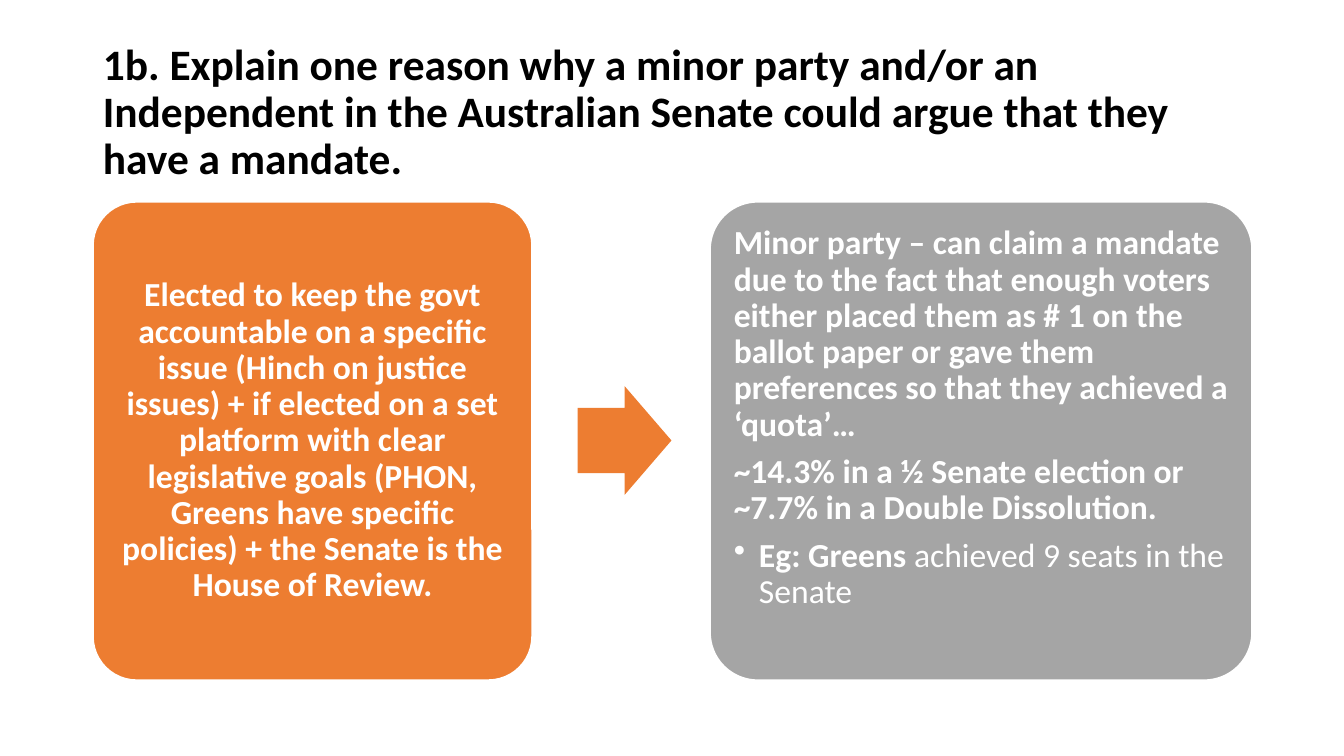
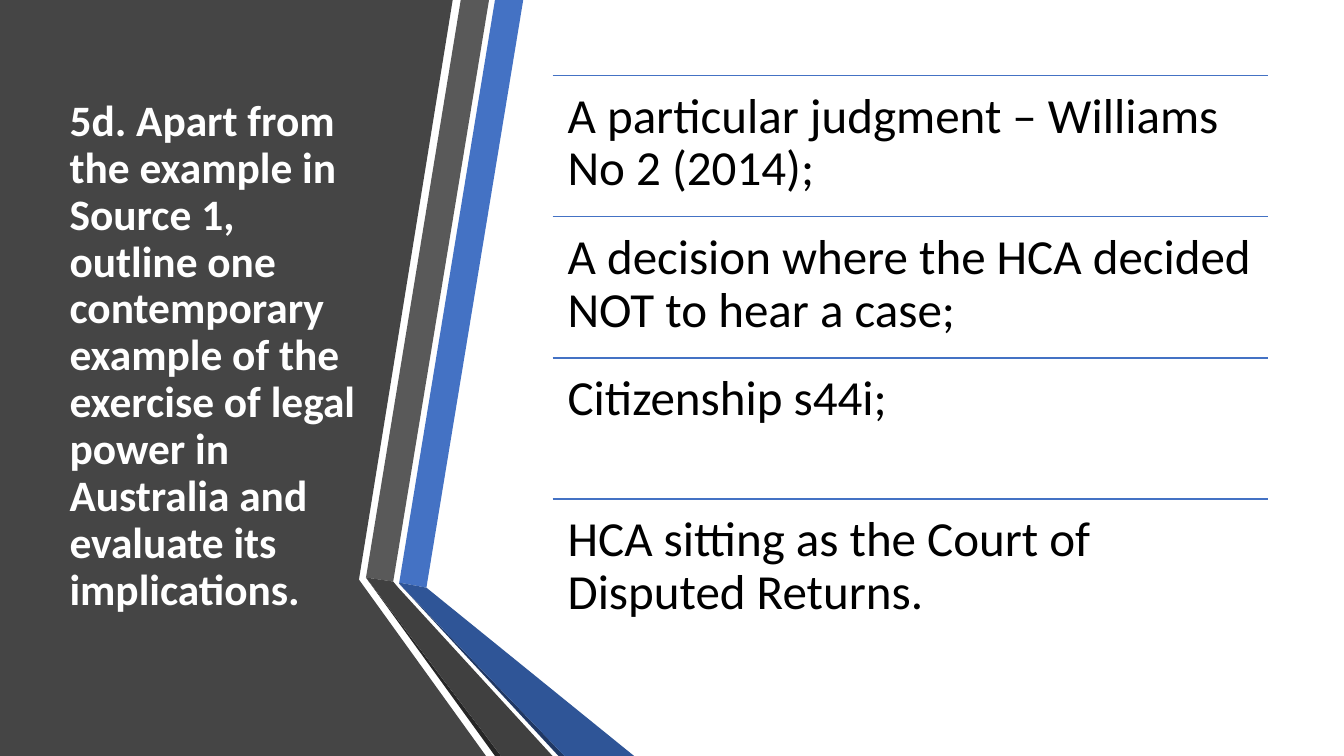
"""Build two civics answer slides: a minor party mandate and legal power in Australia."""
from lxml import etree
from pptx import Presentation
from pptx.dml.color import RGBColor
from pptx.enum import shapes, text
from pptx.oxml import ns
from pptx.util import Inches, Pt

BLACK, WHITE = "000000", "FFFFFF"
ORANGE, GREY, BLUE = "ED7D31", "A5A5A5", "4472C4"
LEFT, CENTER = text.PP_ALIGN.LEFT, text.PP_ALIGN.CENTER
TOP, MIDDLE = text.MSO_ANCHOR.TOP, text.MSO_ANCHOR.MIDDLE


def paint(fill, color):
    fill.solid()
    fill.fore_color.rgb = RGBColor.from_string(color)


def write(frame, paragraphs, size, color, anchor=TOP, align=LEFT, inset=0.1, after=0):
    frame.word_wrap = True
    frame.auto_size = text.MSO_AUTO_SIZE.NONE
    frame.vertical_anchor = anchor
    frame.margin_left = frame.margin_right = Inches(inset)
    frame.margin_top = frame.margin_bottom = Inches(inset)
    for index, spans in enumerate(paragraphs):
        para = frame.add_paragraph() if index else frame.paragraphs[0]
        para.alignment = align
        para.line_spacing = 0.9
        para.space_after = Pt(after)
        for words, bold in spans:
            span = para.add_run()
            span.text = words
            span.font.name = "Calibri"
            span.font.size = Pt(size)
            span.font.bold = bold
            paint(span.font.fill, color)


deck = Presentation()
deck.slide_width, deck.slide_height = Inches(13.33), Inches(7.5)

titles = [
    ("1b. Explain one reason why a minor party and/or an Independent in the Australian "
     "Senate could argue that they have a mandate.", BLACK, (0.92, 0.4, 11.5, 1.45)),
    ("5d. Apart from the example in Source 1, outline one contemporary example of the "
     "exercise of legal power in Australia and evaluate its implications.",
     WHITE, (0.59, 0.75, 3.04, 5.58)),
]
pages = []
for words, color, place in titles:
    page = deck.slides.add_slide(deck.slide_layouts[5])
    title = page.shapes.title
    title.left, title.top, title.width, title.height = map(Inches, place)
    write(title.text_frame, [[(words, True)]], 31, color, MIDDLE)
    pages.append(page)
mandate, power = pages

reason = [[(
    "Elected to keep the govt accountable on a specific issue (Hinch on justice issues) + "
    "if elected on a set platform with clear legislative goals (PHON, Greens have specific "
    "policies) + the Senate is the House of Review.", True)]]
claim = [
    [("Minor party – can claim a mandate due to the fact that enough voters either placed "
      "them as # 1 on the ballot paper or gave them preferences so that they achieved "
      "a ‘quota’…", True)],
    [("~14.3% in a ½ Senate election or ~7.7% in a Double Dissolution.", True)],
    [("Eg: Greens", True), (" achieved 9 seats in the Senate", False)],
]
cards = [
    (0.92, 4.36, ORANGE, reason, MIDDLE, CENTER),
    (7.04, 5.38, GREY, claim, TOP, LEFT),
]
for left, width, color, paragraphs, anchor, align in cards:
    card = mandate.shapes.add_shape(
        shapes.MSO_SHAPE.ROUNDED_RECTANGLE, Inches(left), Inches(2), Inches(width), Inches(4.75))
    card.adjustments[0] = 0.1
    card.shadow.inherit = False
    paint(card.fill, color)
    paint(card.line.fill, WHITE)
    card.line.width = Pt(1.5)
    write(card.text_frame, paragraphs, 24, WHITE, anchor, align, after=8)

example = card.text_frame.paragraphs[-1]
example.space_after = Pt(4)
layout = example._p.get_or_add_pPr()
layout.set("marL", str(Inches(0.25)))
layout.set("indent", str(-Inches(0.25)))
etree.SubElement(layout, ns.qn("a:buChar")).set("char", "•")

arrow = mandate.shapes.add_shape(
    shapes.MSO_SHAPE.RIGHT_ARROW, Inches(5.73), Inches(3.83), Inches(0.93), Inches(1.08))
arrow.adjustments[0] = 0.6
arrow.shadow.inherit = False
paint(arrow.fill, ORANGE)
arrow.line.fill.background()

bands = [
    ("454545", [(0, 0), (4.49, 0), (3.56, 5.75), (4.82, 7.5), (0, 7.5)]),
    (BLUE, [(3.96, 5.78), (4.23, 5.83), (5.19, 0), (4.91, 0)]),
    ("595959", [(4.85, 0), (4.57, 0), (3.63, 5.73), (3.9, 5.77)]),
    ("262626", [(3.63, 5.73), (4.91, 7.5), (4.97, 7.5)]),
    ("203864", [(3.96, 5.79), (5.54, 7.5), (5.6, 7.5)]),
    ("2F5597", [(3.96, 5.78), (3.96, 5.79), (5.6, 7.5), (6.29, 7.5), (4.23, 5.83)]),
    ("404040", [(3.63, 5.73), (4.97, 7.5), (5.48, 7.5), (3.95, 5.83), (3.9, 5.77)]),
]
for color, corners in bands:
    points = [(Inches(x), Inches(y)) for x, y in corners]
    outline = power.shapes.build_freeform(*points[0])
    outline.add_line_segments(points[1:], close=True)
    band = outline.convert_to_shape()
    band.shadow.inherit = False
    paint(band.fill, color)
    band.line.fill.background()

heading = power.shapes.title.element
heading.getparent().append(heading)

examples = [
    "A particular judgment – Williams No 2 (2014);",
    "A decision where the HCA decided NOT to hear a case;",
    "Citizenship s44i;",
    "HCA sitting as the Court of Disputed Returns.",
]
left, width, row = Inches(5.48), Inches(7.1), Inches(1.4)
for index, words in enumerate(examples):
    top = Inches(0.75) + index * row
    rule = power.shapes.add_connector(
        shapes.MSO_CONNECTOR.STRAIGHT, left, top, left + width, top)
    paint(rule.line.fill, BLUE)
    rule.line.width = Pt(1)
    etree.SubElement(rule.element.spPr, ns.qn("a:effectLst"))
    box = power.shapes.add_textbox(left, top, width, row)
    write(box.text_frame, [[(words, False)]], 35, BLACK, inset=0.15)

deck.save("out.pptx")
